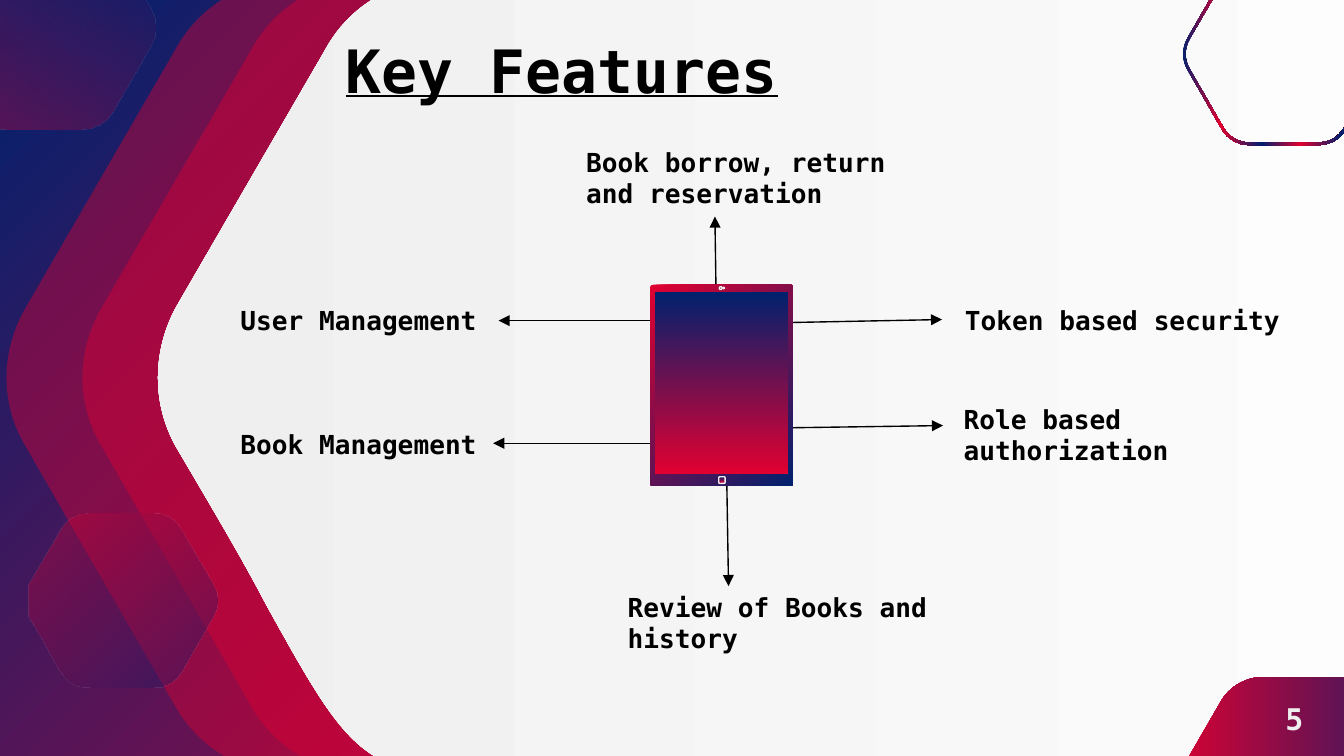
from lxml import etree
from pptx import Presentation
from pptx.dml.color import RGBColor
from pptx.enum.shapes import MSO_CONNECTOR, MSO_SHAPE
from pptx.enum.text import MSO_ANCHOR, MSO_AUTO_SIZE, PP_ALIGN
from pptx.oxml.ns import qn
from pptx.util import Pt

STRAIGHT = MSO_CONNECTOR.STRAIGHT
ROUNDED, OVAL = MSO_SHAPE.ROUNDED_RECTANGLE, MSO_SHAPE.OVAL
TOP, MIDDLE = MSO_ANCHOR.TOP, MSO_ANCHOR.MIDDLE
LEFT, CENTER, RIGHT = PP_ALIGN.LEFT, PP_ALIGN.CENTER, PP_ALIGN.RIGHT
FIT_SHAPE, NO_FIT = MSO_AUTO_SIZE.SHAPE_TO_FIT_TEXT, MSO_AUTO_SIZE.NONE

FONT = "DejaVu Sans Mono"
COLORS = {"red": "E20030", "navy": "00216E", "white": "FFFFFF",
          "pale": "EFEFEF", "black": "000000"}

# Paint stops: (position %, colour, opacity %)
RED_TO_NAVY = [(0, "red", 100), (100, "navy", 100)]
NAVY_TO_RED = [(0, "navy", 100), (100, "red", 100)]
SHEER_RED = [(0, "red", 41)]
SHEER_MIX = [(0, "red", 41), (100, "navy", 40)]
WHITE_TO_PALE = [(0, "white", 100), (100, "pale", 100)]
RING_STOPS = [(place, ("navy", "red")[i % 2], 100)
              for i, place in enumerate((0, 19, 39, 58, 78, 100))]

# Rounded hexagon: one point makes a line, three make a curve
HEX_WIDTH, HEX_HEIGHT = 476, 428
HEX_START = (318, 0)
HEX_STEPS = [
    [(345, 0), (370, 14), (383, 38)], [(463, 176)],
    [(476, 200), (476, 228), (463, 251)], [(443, 285), (427, 312), (415, 335)],
    [(369, 418), (363, 428), (289, 428)], [(158, 427)],
    [(132, 427), (107, 413), (94, 390)], [(14, 251)],
    [(0, 228), (0, 200), (14, 176)], [(94, 38)],
    [(107, 14), (132, 0), (158, 0)],
]

# left, top, width, height, mirrored, rim thickness (0 = filled), stops, angle
HEXAGONS = [
    (0, -11.5, 476, 428, False, 0, SHEER_RED, 0),
    (40.7, -11.5, 476, 428, False, 0, SHEER_RED, 0),
    (81.4, -11.5, 776, 428, True, 0, WHITE_TO_PALE, 180),
    (620, 362.7, 173, 155, True, 0, RED_TO_NAVY, 0),
    (633, -20, 109.5, 98, False, 1.4, RING_STOPS, 0),
    (12.6, 275, 104.5, 93.6, True, 0, SHEER_MIX, 45),
    (-38.4, -40, 122.4, 109.4, True, 0, SHEER_MIX, 315),
]

TITLE = ("Key Features", (-71.5, 15, 495.5, 44.6))
PAGE_NUMBER = ("5", (667.2, 362.6, 52.5, 44.6))

FEATURE_WIDTH = 191
# text, left, top, height, arrow start, arrow end
FEATURES = [
    ("Token based security", 509.8, 159.5, 24.2, (422.6, 172.8), (504.7, 171.2)),
    ("Role based authorization", 509.2, 212.5, 41.2, (422.6, 229.2), (505.2, 228)),
    ("User Management", 121.7, 159.5, 24.2, (352, 171.8), (267.1, 171.8)),
    ("Book Management", 121.7, 225.8, 24.2, (349, 237.5), (264.2, 237.5)),
    ("Review of Books and history", 329.2, 313.2, 41.2, (389.3, 254), (390.3, 314)),
    ("Book borrow, return and reservation", 307, 74.9, 41.2,
     (383.6, 156), (383, 116)),
]

# preset, box, corner, stops, angle, has a rim line
TABLET = [
    (ROUNDED, (348.3, 152.5, 76.5, 107.8), 0.019, RED_TO_NAVY, 45, False),
    (OVAL, (385.3, 153.6, 1.5, 1.5), None, NAVY_TO_RED, 90, True),
    (OVAL, (387.3, 153.9, 0.8, 0.8), None, NAVY_TO_RED, 90, True),
    (ROUNDED, (385.1, 255.4, 3.4, 3.6), 0.167, NAVY_TO_RED, 90, True),
    (ROUNDED, (350.9, 156.3, 71.3, 97.8), 0.013, NAVY_TO_RED, 90, False),
]


def rgb(name):
    return RGBColor.from_string(COLORS[name])


def points(values):
    return [Pt(value) for value in values]


def paint(fill, holder, stops, angle):
    """Fill with one colour or a gradient; the angle runs clockwise."""
    if len(stops) == 1:
        fill.solid()
        fill.fore_color.rgb = rgb(stops[0][1])
    else:
        fill.gradient()
        fill.gradient_angle = (360 - angle) % 360
        stop_list = next(holder.iter(qn("a:gsLst")))
        for old in list(stop_list):
            stop_list.remove(old)
        for place, name, _ in stops:
            stop = etree.SubElement(stop_list, qn("a:gs"), pos=str(place * 1000))
            etree.SubElement(stop, qn("a:srgbClr"), val=COLORS[name])
    for color, (_, _, opacity) in zip(holder.iter(qn("a:srgbClr")), stops):
        if opacity < 100:
            etree.SubElement(color, qn("a:alpha"), val=str(opacity * 1000))


def fit_hexagon(left, top, width, height, mirrored):
    """Scale by height; any extra width widens the middle."""
    scale = height / HEX_HEIGHT
    extra = width - HEX_WIDTH * scale
    fitted = []
    for x, y in [HEX_START] + [point for step in HEX_STEPS for point in step]:
        x = HEX_WIDTH - x if mirrored else x
        shift = extra if x > HEX_WIDTH / 2 else 0
        fitted.append((Pt(left + x * scale + shift), Pt(top + y * scale)))
    return fitted


def round_corners(shape, contours):
    """Turn each run of three control points into one Bezier curve."""
    lines = iter(list(shape._element.iter(qn("a:lnTo"))))
    for step in HEX_STEPS * contours:
        run = [next(lines) for _ in step]
        if len(run) == 3:
            curve = etree.Element(qn("a:cubicBezTo"))
            run[0].addprevious(curve)
            for line in run:
                curve.append(line[0])
                line.getparent().remove(line)


def add_hexagon(page, left, top, width, height, mirrored, rim, stops, angle):
    insets = (0, rim) if rim else (0,)
    contours = [fit_hexagon(left + inset, top + inset, width - 2 * inset,
                            height - 2 * inset, mirrored) for inset in insets]
    builder = page.shapes.build_freeform(*contours[0][0], scale=1.0)
    for i, contour in enumerate(contours):
        if i:
            builder.move_to(*contour[0])
        builder.add_line_segments(contour[1:], close=True)
    shape = builder.convert_to_shape()
    round_corners(shape, len(contours))
    shape.shadow.inherit = False
    shape.line.fill.background()
    paint(shape.fill, shape._element.spPr, stops, angle)
    return shape


def move_to_layout(shape, layout):
    number = 1 + max(other.shape_id for other in layout.shapes)
    shape._element.nvSpPr.cNvPr.set("id", str(number))
    layout.shapes._spTree.append(shape._element)


def write(box, text, size, color="black", align=LEFT, anchor=TOP,
          inset=3.6, fit=NO_FIT, underline=None):
    frame = box.text_frame
    frame.word_wrap = True
    frame.auto_size = fit
    frame.vertical_anchor = anchor
    frame.margin_left = frame.margin_right = Pt(7.2)
    frame.margin_top = frame.margin_bottom = Pt(inset)
    para = frame.paragraphs[0]
    para.alignment = align
    span = para.add_run()
    span.text = text
    span.font.name, span.font.size = FONT, Pt(size)
    span.font.bold, span.font.underline = True, underline
    span.font.color.rgb = rgb(color)


def add_arrow(page, start, end):
    arrow = page.shapes.add_connector(STRAIGHT, *points(start + end))
    arrow.line.color.rgb = rgb("black")
    arrow.line.width = Pt(0.75)
    etree.SubElement(arrow.line._get_or_add_ln(), qn("a:tailEnd"), type="triangle")
    etree.SubElement(arrow._element.spPr, qn("a:effectLst"))


def add_tablet(page):
    group = page.shapes.add_group_shape()
    for preset, box, corner, stops, angle, has_line in TABLET:
        part = group.shapes.add_shape(preset, *points(box))
        part.shadow.inherit = False
        if corner is not None:
            part.adjustments[0] = corner
        paint(part.fill, part._element.spPr, stops, angle)
        if has_line:
            part.line.color.rgb = rgb("pale")
            part.line.width = Pt(0.75)
        else:
            part.line.fill.background()


def main():
    deck = Presentation()
    deck.slide_width, deck.slide_height = Pt(720), Pt(405)
    layout = deck.slide_layouts[5]
    page = deck.slides.add_slide(layout)
    paint(page.background.fill, page._element, RED_TO_NAVY, 225)
    for hexagon in HEXAGONS:
        move_to_layout(add_hexagon(page, *hexagon), layout)

    text, box = PAGE_NUMBER
    write(page.shapes.add_textbox(*points(box)), text, 16, "pale", CENTER, MIDDLE, 7.2)
    text, box = TITLE
    title = page.shapes.title
    title.left, title.top, title.width, title.height = points(box)
    write(title, text, 32, align=RIGHT, anchor=MIDDLE, inset=7.2, underline=True)

    for text, left, top, height, start, end in FEATURES:
        label = page.shapes.add_textbox(*points((left, top, FEATURE_WIDTH, height)))
        write(label, text, 14, fit=FIT_SHAPE)
        add_arrow(page, start, end)
    add_tablet(page)
    deck.save("out.pptx")


if __name__ == "__main__":
    main()
